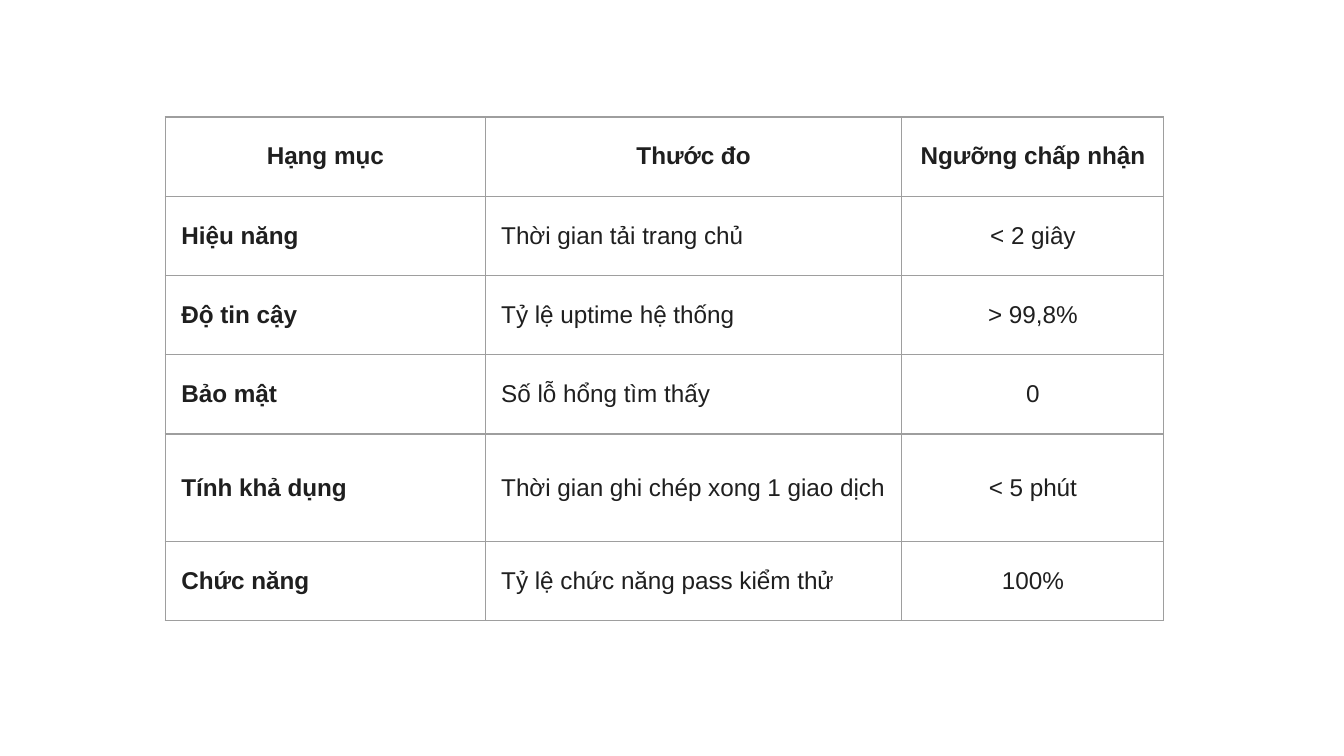
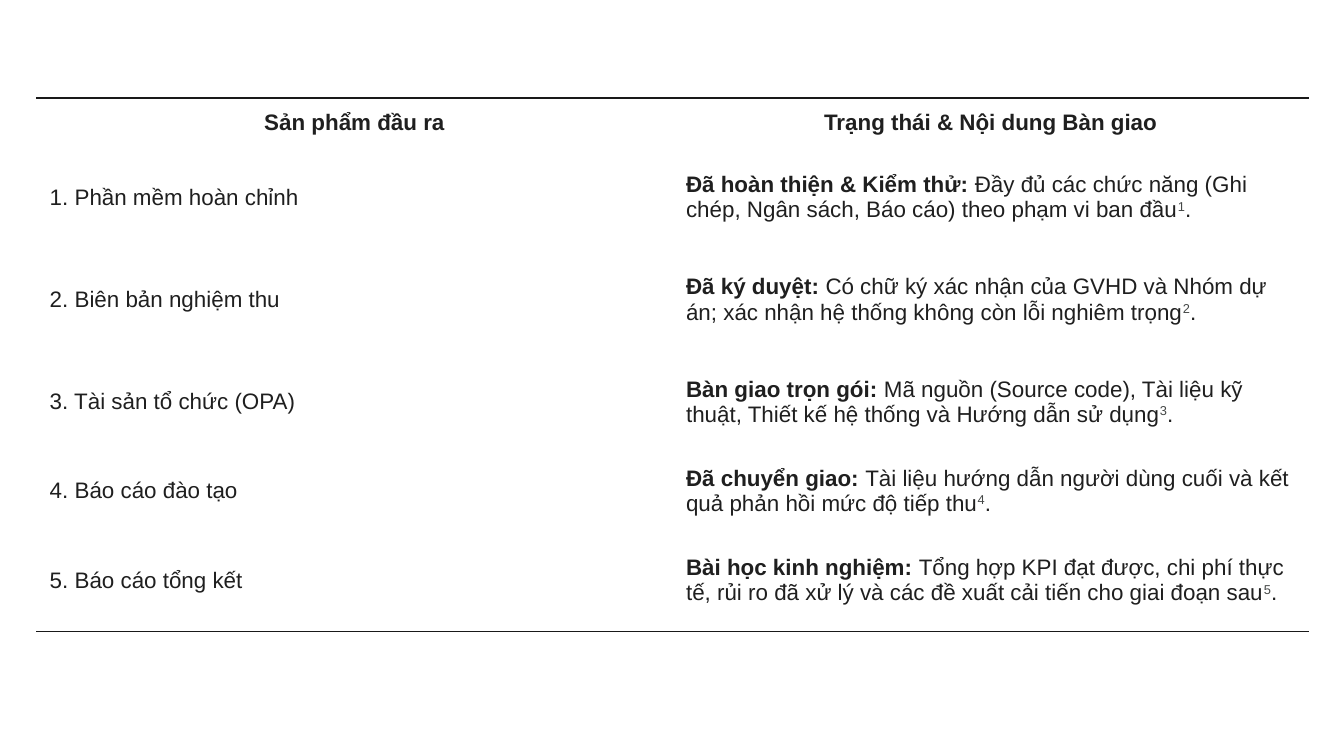
from dataclasses import dataclass

from lxml import etree
from pptx import Presentation
from pptx.dml.color import RGBColor
from pptx.enum.text import MSO_ANCHOR, PP_ALIGN
from pptx.oxml.ns import qn
from pptx.util import Inches, Pt

LEFT, CENTER = PP_ALIGN.LEFT, PP_ALIGN.CENTER
MIDDLE = MSO_ANCHOR.MIDDLE
PLAIN_TABLE_STYLE = "{2D5ABB26-0587-4C30-8999-92F81FD0307C}"
SIDES = ("L", "R", "T", "B")


@dataclass(frozen=True)
class Theme:
    font: str = "Arial"
    ink: str = "1F1F1F"
    note: str = "444746"
    grid: str = "9E9E9E"
    rule: str = "191919"
    grid_width: float = 0.75
    rule_width: float = 1
    criteria_size: int = 13
    handover_size: int = 12
    superscript: int = 30  # percent


THEME = Theme()

# Content
CRITERIA_HEAD = ("Hạng mục", "Thước đo", "Ngưỡng chấp nhận")
CRITERIA = [
    ("Hiệu năng", "Thời gian tải trang chủ", "< 2 giây"),
    ("Độ tin cậy", "Tỷ lệ uptime hệ thống", "> 99,8%"),
    ("Bảo mật", "Số lỗ hổng tìm thấy", "0"),
    ("Tính khả dụng", "Thời gian ghi chép xong 1 giao dịch", "< 5 phút"),
    ("Chức năng", "Tỷ lệ chức năng pass kiểm thử", "100%"),
]

HANDOVER_HEAD = ("Sản phẩm đầu ra", "Trạng thái & Nội dung Bàn giao")
HANDOVER = [
    ("Phần mềm hoàn chỉnh", "Đã hoàn thiện & Kiểm thử",
     "Đầy đủ các chức năng (Ghi chép, Ngân sách, Báo cáo) theo phạm vi ban đầu"),
    ("Biên bản nghiệm thu", "Đã ký duyệt",
     "Có chữ ký xác nhận của GVHD và Nhóm dự án; "
     "xác nhận hệ thống không còn lỗi nghiêm trọng"),
    ("Tài sản tổ chức (OPA)", "Bàn giao trọn gói",
     "Mã nguồn (Source code), Tài liệu kỹ thuật, "
     "Thiết kế hệ thống và Hướng dẫn sử dụng"),
    ("Báo cáo đào tạo", "Đã chuyển giao",
     "Tài liệu hướng dẫn người dùng cuối và kết quả phản hồi mức độ tiếp thu"),
    ("Báo cáo tổng kết", "Bài học kinh nghiệm",
     "Tổng hợp KPI đạt được, chi phí thực tế, rủi ro đã xử lý "
     "và các đề xuất cải tiến cho giai đoạn sau"),
]


def add_plain_table(prs, left, top, widths, heights):
    """Add a slide holding one unstyled table, lengths in inches."""
    slide = prs.slides.add_slide(prs.slide_layouts[6])
    frame = slide.shapes.add_table(
        len(heights), len(widths), Inches(left), Inches(top),
        Inches(sum(widths)), Inches(sum(heights)))
    table = frame.table
    table.first_row = table.horz_banding = False
    table._tbl.tblPr.find(qn("a:tableStyleId")).text = PLAIN_TABLE_STYLE
    for column, width in zip(table.columns, widths):
        column.width = Inches(width)
    for row, height in zip(table.rows, heights):
        row.height = Inches(height)
    return table


def draw_borders(cell, sides, color, width):
    props = cell._tc.get_or_add_tcPr()
    for index, side in enumerate(s for s in SIDES if s in sides):
        line = etree.Element(qn(f"a:ln{side}"), w=str(Pt(width)))
        fill = etree.SubElement(line, qn("a:solidFill"))
        etree.SubElement(fill, qn("a:srgbClr"), val=color)
        props.insert(index, line)


def fill_cell(cell, runs, size, margins, align=LEFT):
    """Write runs of (text, bold, raised) into a cell."""
    cell.fill.background()
    cell.vertical_anchor = MIDDLE
    cell.margin_left = cell.margin_right = Inches(margins[0])
    cell.margin_top = cell.margin_bottom = Inches(margins[1])
    paragraph = cell.text_frame.paragraphs[0]
    paragraph.alignment = align
    for text, bold, raised in runs:
        run = paragraph.add_run()
        run.text = text
        font = run.font
        font.name, font.size, font.bold = THEME.font, Pt(size), bold
        font.color.rgb = RGBColor.from_string(THEME.note if raised else THEME.ink)
        if raised:
            run._r.get_or_add_rPr().set("baseline", str(THEME.superscript * 1000))


def build_criteria(prs):
    rows = [CRITERIA_HEAD, *CRITERIA]
    heights = [0.8 if row[0] == "Tính khả dụng" else 0.59 for row in rows]
    table = add_plain_table(prs, 1.23, 0.87, (2.38, 3.1, 1.95), heights)
    for r, row in enumerate(rows):
        for c, text in enumerate(row):
            cell = table.cell(r, c)
            bold = r == 0 or c == 0
            align = CENTER if r == 0 or c == 2 else LEFT
            fill_cell(cell, [(text, bold, False)], THEME.criteria_size,
                      (0.12, 0.08), align)
            draw_borders(cell, SIDES, THEME.grid, THEME.grid_width)


def build_handover(prs):
    rows = [[[(head, True, False)] for head in HANDOVER_HEAD]]
    for number, (product, status, detail) in enumerate(HANDOVER, 1):
        rows.append([
            [(f"{number}. {product}", False, False)],
            [(f"{status}: ", True, False), (detail, False, False),
             (str(number), False, True), (".", False, False)],
        ])
    heights = [0.36, 0.76, 0.76, 0.76, 0.57, 0.76]
    table = add_plain_table(prs, 0.27, 0.73, [9.47 / 2] * 2, heights)
    # Rules only above the head and below the last row
    ruled = {0: "T", len(rows) - 1: "B"}
    for r, row in enumerate(rows):
        for c, runs in enumerate(row):
            cell = table.cell(r, c)
            fill_cell(cell, runs, THEME.handover_size, (0.1, 0.07),
                      LEFT if r else CENTER)
            draw_borders(cell, ruled.get(r, ""), THEME.rule, THEME.rule_width)


def main():
    prs = Presentation()
    prs.slide_width = Inches(10)
    prs.slide_height = prs.slide_width * 9 // 16
    build_criteria(prs)
    build_handover(prs)
    prs.save("out.pptx")


if __name__ == "__main__":
    main()
